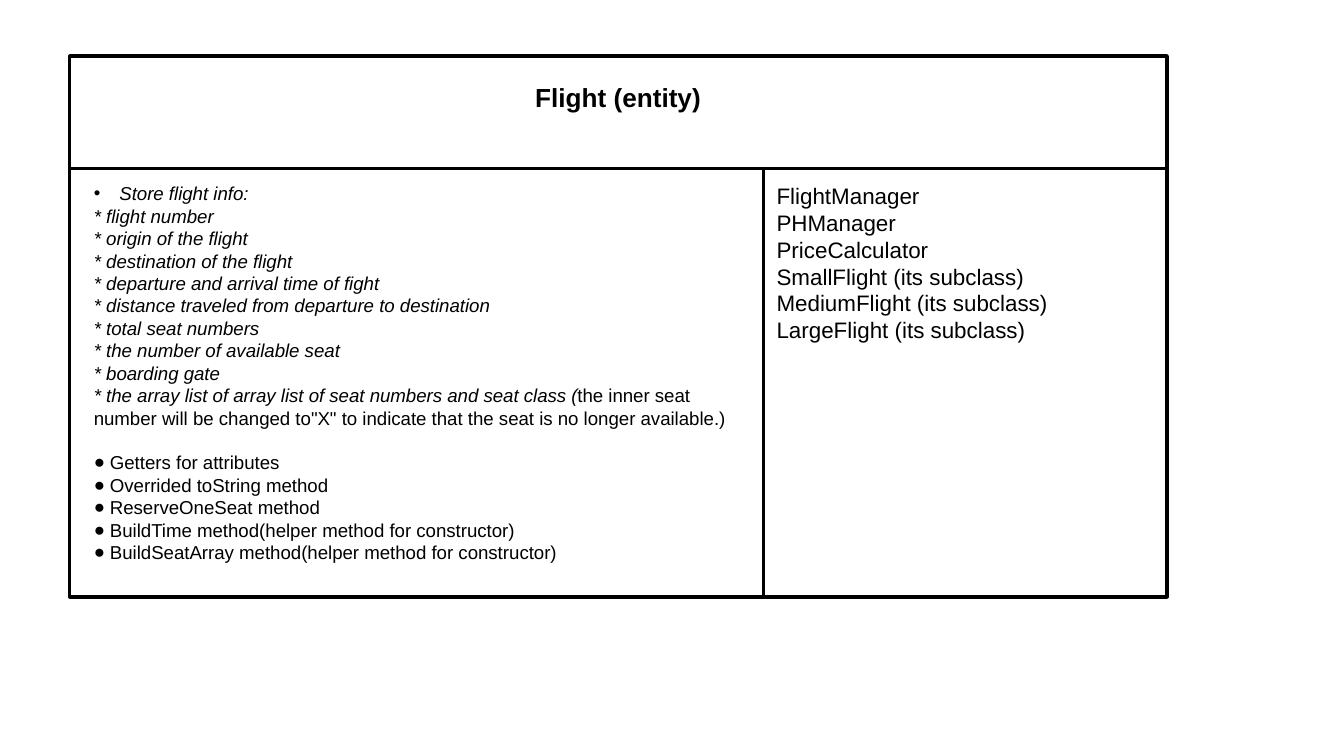
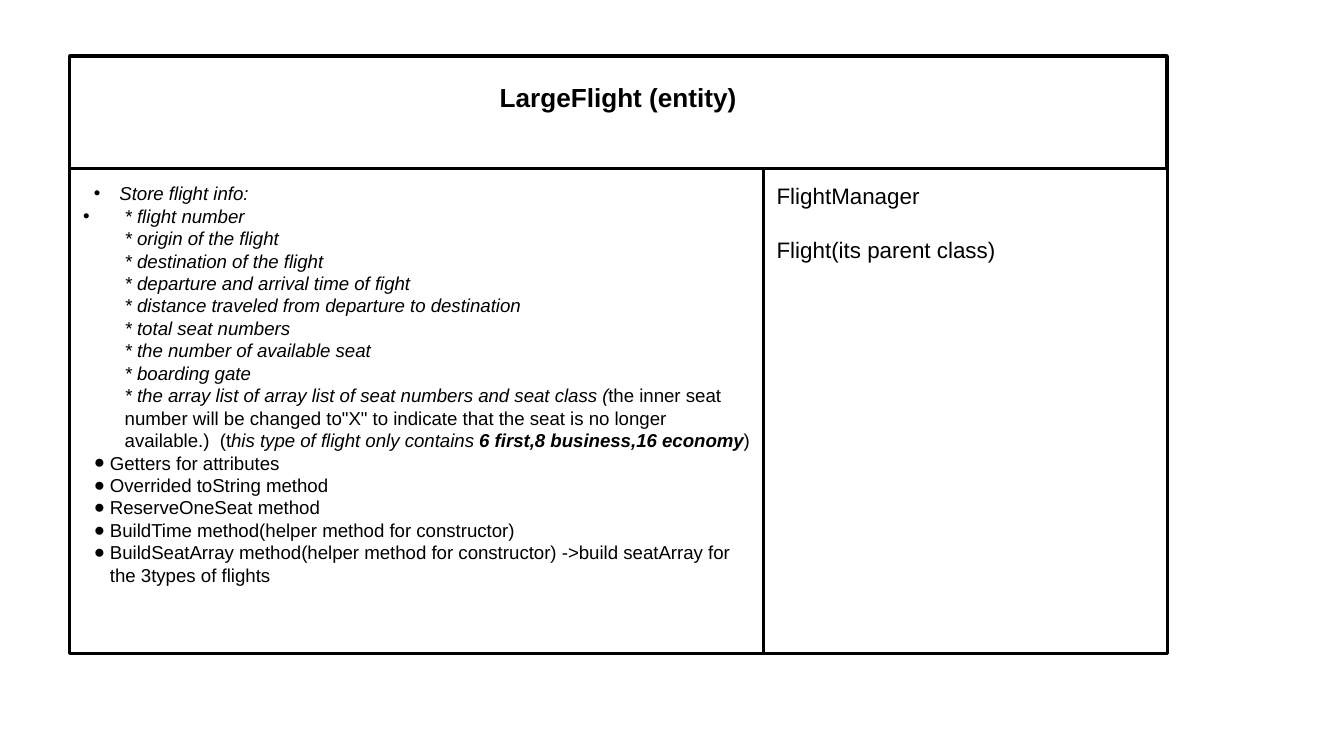
"""Build two class cards for the flight entities."""
from lxml.etree import SubElement
from pptx import Presentation
from pptx.dml.color import RGBColor
from pptx.enum.shapes import MSO_SHAPE
from pptx.enum.text import MSO_ANCHOR, PP_ALIGN
from pptx.oxml.ns import qn
from pptx.util import Pt

PX = 4572
HUES = {"ink": "000000", "paper": "FFFFFF"}
FACE = "Arial"
PAD = 20
HEAD = 167
FRAME = (104, 84, 1632, 804)
SPLIT = 1032

FIELDS = """* flight number
* origin of the flight
* destination of the flight
* departure and arrival time of fight
* distance traveled from departure to destination
* total seat numbers
* the number of available seat
* boarding gate
* the array list of array list of seat numbers and seat class ("""
TAKEN = 'number will be changed to"X" to indicate that the seat is no longer available.) '
METHODS = ["Getters for attributes", "Overrided toString method",
           "ReserveOneSeat method",
           "BuildTime method(helper method for constructor)"]
BUILD = "BuildSeatArray method(helper method for constructor)"

CARDS = [
    {"title": "Flight (entity)",
     "body": (SPLIT, 600, 637),
     "info": [(FIELDS, "i"), ("the inner seat " + TAKEN, "")],
     "inset": (16, 0, None),
     "duties": METHODS + [BUILD],
     "gap": 12,
     "peers": ["FlightManager", "PHManager", "PriceCalculator",
               "SmallFlight (its subclass)", "MediumFlight (its subclass)",
               "LargeFlight (its subclass)"],
     "space": 0},
    {"title": "LargeFlight (entity)",
     "body": (SPLIT + 2, 602, 722),
     "info": [(FIELDS, "i"), ("the inner seat " + TAKEN + " (t", ""),
              ("his type of flight only contains", "i"),
              (" 6 first,8 business,16 economy", "bi"), (")", "")],
     "inset": (62, -62, "•"),
     "duties": METHODS + [BUILD + " ->build seatArray for the 3types of flights"],
     "gap": 0,
     "peers": ["FlightManager", "Flight(its parent class)"],
     "space": 14.5},
]


def hue(name):
    """Return a named colour."""
    return RGBColor.from_string(HUES[name])


def panel(slide, box, width=1.5):
    """Add a white, outlined rectangle and return its text frame."""
    shape = slide.shapes.add_shape(MSO_SHAPE.RECTANGLE, *(n * PX for n in box))
    shape.shadow.inherit = False
    shape.fill.solid()
    shape.fill.fore_color.rgb = hue("paper")
    shape.line.color.rgb = hue("ink")
    shape.line.width = Pt(width)
    frame = shape.text_frame
    frame.word_wrap = True
    frame.vertical_anchor = MSO_ANCHOR.TOP
    frame.margin_left = frame.margin_right = PAD * PX
    frame.margin_top = frame.margin_bottom = PAD * PX
    return frame


def indent(para, left, first, sign):
    """Set the indent of a paragraph and its bullet, if any."""
    props = para._p.get_or_add_pPr()
    props.set("marL", str(left * PX))
    props.set("indent", str(first * PX))
    if sign:
        tint = SubElement(props, qn("a:buClr"))
        SubElement(tint, qn("a:srgbClr")).set("val", HUES["ink"])
        SubElement(props, qn("a:buFont")).set("typeface", FACE)
        SubElement(props, qn("a:buChar")).set("char", sign)


def mark(font, style):
    """Set bold and italic from style letters."""
    font.bold, font.italic = "b" in style, "i" in style


def write(frame, runs, size, inset=(0, 0, None), gap=0, align=PP_ALIGN.LEFT):
    """Add one paragraph of (text, style) runs to a frame."""
    para = frame.paragraphs[0]
    if para.runs:
        para = frame.add_paragraph()
    para.alignment = align
    indent(para, *inset)
    if gap:
        para.space_before = Pt(gap)
    font = para.font
    font.name, font.size, font.color.rgb = FACE, Pt(size), hue("ink")
    if len(runs) == 1:
        mark(font, runs[0][1])
    for text, style in runs:
        for row, line in enumerate(text.split("\n")):
            if row:
                para.add_line_break()
            run = para.add_run()
            run.text = line
            if len(runs) > 1:
                mark(run.font, style)


def header(slide, box, title):
    """Draw the title band, with its text raised by one line."""
    frame = panel(slide, box)
    frame.vertical_anchor = MSO_ANCHOR.MIDDLE
    frame.margin_bottom = (PAD + 46) * PX
    write(frame, [(title, "b")], 14, align=PP_ALIGN.CENTER)


def tasks(slide, box, card):
    """Draw the left panel of stored fields and methods."""
    frame = panel(slide, box)
    write(frame, [("Store flight info:", "i")], 10, (54, -38, "•"))
    write(frame, card["info"], 10, card["inset"])
    for row, duty in enumerate(card["duties"]):
        gap = 0 if row else card["gap"]
        write(frame, [(duty, "")], 10, (40, -24, "●"), gap)


def peers(slide, box, card):
    """Draw the right panel of related classes."""
    frame = panel(slide, box)
    for row, name in enumerate(card["peers"]):
        write(frame, [(name, "")], 12, gap=card["space"] if row else 0)


def draw(slide, box, card):
    """Draw one class card in the given box."""
    left, top, width, _ = box
    wide, side, tall = card["body"]
    panel(slide, box, 2.25)
    header(slide, (left, top, width, HEAD), card["title"])
    tasks(slide, (left, top + HEAD, wide, tall), card)
    peers(slide, (left + SPLIT, top + HEAD, side, tall), card)


def main():
    """Build and save the deck."""
    deck = Presentation()
    deck.slide_width, deck.slide_height = 2000 * PX, 1125 * PX
    for card in CARDS:
        draw(deck.slides.add_slide(deck.slide_layouts[6]), FRAME, card)
    deck.save("out.pptx")


if __name__ == "__main__":
    main()
